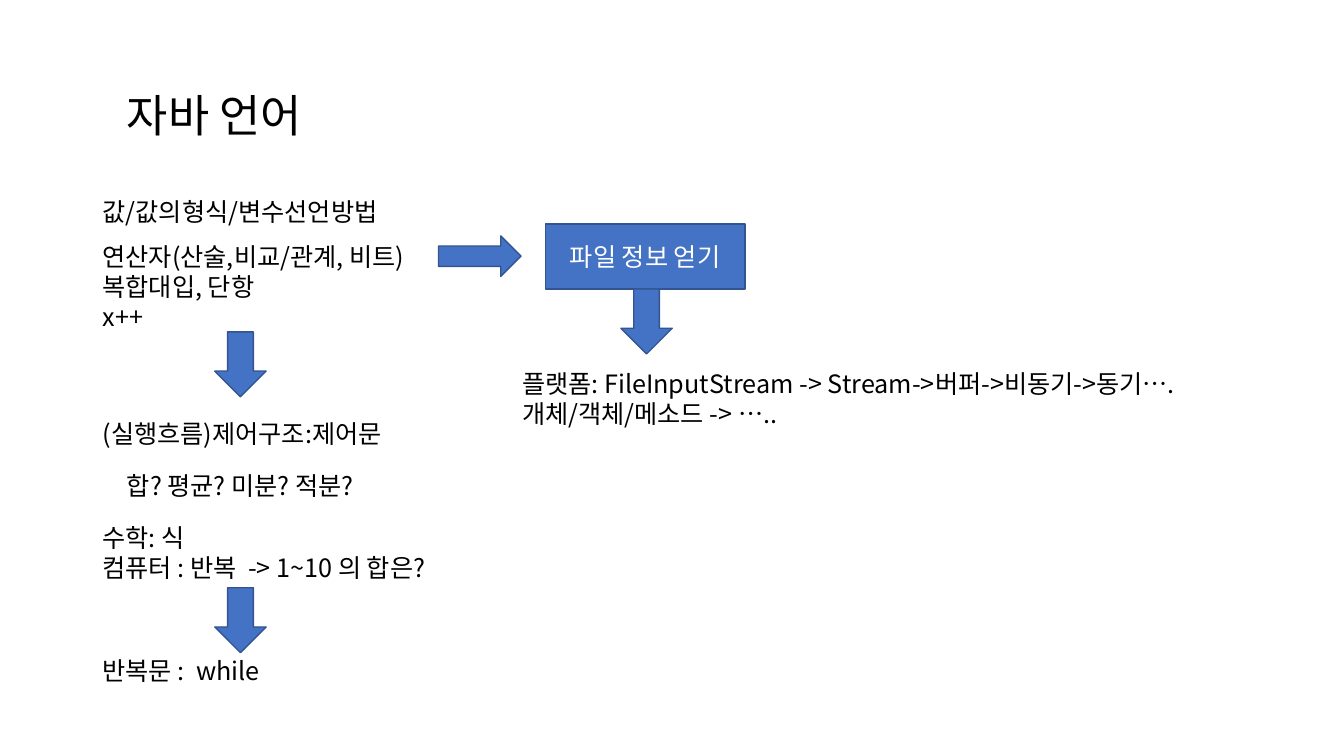
from dataclasses import dataclass

from pptx import Presentation
from pptx.dml.color import RGBColor
from pptx.enum import shapes, text
from pptx.oxml import ns
from pptx.util import Pt


@dataclass(frozen=True)
class Theme:
    font: str = "Noto Sans CJK KR"
    title_size: int = 32
    body_size: int = 18
    ink: str = "000000"
    white: str = "FFFFFF"
    blue: str = "4472C4"
    outline: str = "325491"


THEME = Theme()
LEFT_COLUMN = 66.2
ARROW_LENGTH, ARROW_WIDTH = 46.4, 36.7


def color(value):
    return RGBColor.from_string(value)


def write(frame, lines, size, ink, align=text.PP_ALIGN.LEFT):
    """Fill a text frame and format every run for Latin and Korean."""
    frame.text = "\n".join(lines)
    frame.word_wrap = True
    for paragraph in frame.paragraphs:
        paragraph.alignment = align
        for run in paragraph.runs:
            run.font.name = THEME.font
            run.font.size = Pt(size)
            run.font.color.rgb = color(ink)
            east_asian = run._r.get_or_add_rPr().makeelement(
                ns.qn("a:ea"), {"typeface": THEME.font})
            run.font._element.find(ns.qn("a:latin")).addnext(east_asian)


def add_title(slide, wording, left, top, width, height):
    title = slide.shapes.title
    title.left, title.top = Pt(left), Pt(top)
    title.width, title.height = Pt(width), Pt(height)
    write(title.text_frame, [wording], THEME.title_size, THEME.ink)
    title.text_frame.vertical_anchor = text.MSO_ANCHOR.TOP
    title.text_frame.auto_size = text.MSO_AUTO_SIZE.NONE


def add_note(slide, lines, left, top, width):
    height = 7.2 + 21.8 * len(lines)
    note = slide.shapes.add_textbox(Pt(left), Pt(top), Pt(width), Pt(height))
    write(note.text_frame, lines, THEME.body_size, THEME.ink)
    note.text_frame.auto_size = text.MSO_AUTO_SIZE.SHAPE_TO_FIT_TEXT


def add_block(slide, kind, left, top, width, height):
    block = slide.shapes.add_shape(kind, Pt(left), Pt(top), Pt(width), Pt(height))
    block.shadow.inherit = False
    block.fill.solid()
    block.fill.fore_color.rgb = color(THEME.blue)
    block.line.color.rgb = color(THEME.outline)
    block.line.width = Pt(1)
    return block


def add_down_arrow(slide, left, top):
    add_block(slide, shapes.MSO_SHAPE.DOWN_ARROW, left, top,
              ARROW_WIDTH, ARROW_LENGTH)


def main():
    deck = Presentation()
    deck.slide_width, deck.slide_height = Pt(960), Pt(540)
    slide = deck.slides.add_slide(deck.slide_layouts[5])

    add_title(slide, "자바 언어", 83.5, 59, 154.8, 46)

    # Values and operators
    add_note(slide, ["값/값의형식/변수선언방법"], LEFT_COLUMN, 136.8, 229)
    add_note(slide, ["연산자(산술,비교/관계, 비트)", "복합대입, 단항", "x++"],
             LEFT_COLUMN, 168.5, 247)

    # File information and platform
    add_block(slide, shapes.MSO_SHAPE.RIGHT_ARROW, 313.2, 168.5, 59, 29)
    file_info = add_block(slide, shapes.MSO_SHAPE.RECTANGLE,
                          389.5, 160, 142.6, 46.4)
    write(file_info.text_frame, ["파일 정보 얻기"], THEME.body_size,
          THEME.white, text.PP_ALIGN.CENTER)
    file_info.text_frame.vertical_anchor = text.MSO_ANCHOR.MIDDLE
    add_down_arrow(slide, 443.5, 206.4)
    add_note(slide, ["플랫폼: FileInputStream -> Stream->버퍼->비동기->동기….",
                     "개체/객체/메소드 -> ….."], 365.8, 259.2, 502.6)

    # Control flow
    add_down_arrow(slide, 153.4, 237)
    add_note(slide, ["(실행흐름)제어구조:제어문"], LEFT_COLUMN, 295.2, 229.7)
    add_note(slide, ["합? 평균? 미분? 적분?"], 83.5, 332.6, 204)

    # Mathematics and repetition
    add_note(slide, ["수학: 식", "컴퓨터 : 반복  -> 1~10 의 합은?"],
             LEFT_COLUMN, 369.4, 280)
    add_down_arrow(slide, 153.4, 419.8)
    add_note(slide, ["반복문 :  while"], LEFT_COLUMN, 464.4, 139)

    deck.save("out.pptx")


if __name__ == "__main__":
    main()
